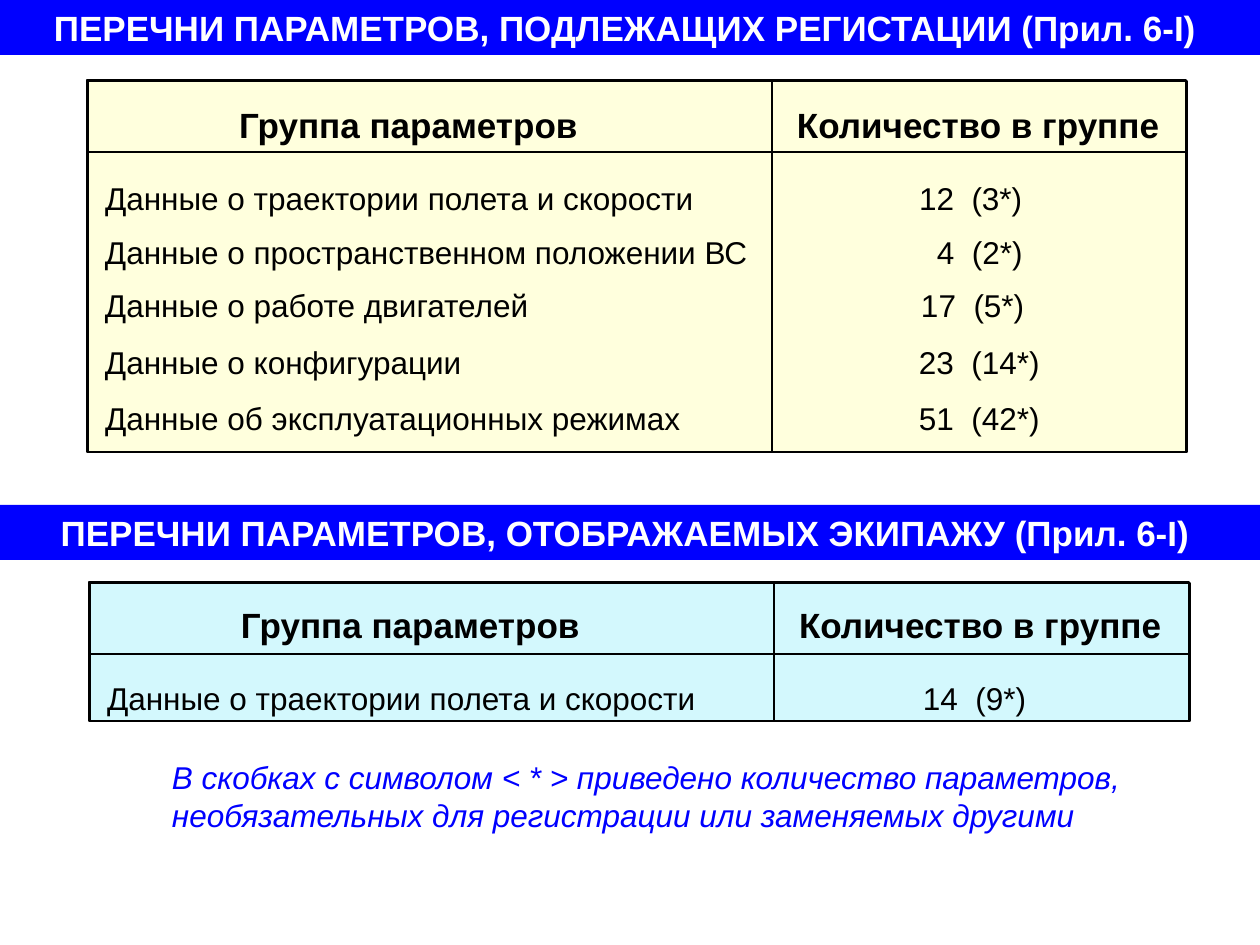
from lxml.etree import SubElement
from pptx import Presentation
from pptx.dml.color import RGBColor
from pptx.enum.shapes import MSO_CONNECTOR, MSO_SHAPE
from pptx.enum.text import MSO_ANCHOR, PP_ALIGN
from pptx.oxml.ns import qn
from pptx.util import Emu, Pt

PX = 914400 // 126
BLACK, WHITE, BLUE = "000000", "FFFFFF", "0000FF"
CREAM, CYAN = "FFFFDD", "D3F8FD"


def px(*lengths):
    return [Emu(n * PX) for n in lengths]


def color(value):
    return RGBColor.from_string(value)


def write(sp, text, size=18, fill=BLACK, bold=False, italic=False,
          align=PP_ALIGN.LEFT, anchor=MSO_ANCHOR.TOP, wrap=True):
    tf = sp.text_frame
    tf.word_wrap, tf.vertical_anchor = wrap, anchor
    for i, line in enumerate(text.split("\n")):
        p = tf.add_paragraph() if i else tf.paragraphs[0]
        p.alignment = align
        r = p.add_run()
        r.text = line
        r.font.name, r.font.size = "Arial", Pt(size)
        r.font.bold, r.font.italic = bold, italic
        r.font.color.rgb = color(fill)


def add_text(s, box, text, **style):
    sp = s.shapes.add_textbox(*px(*box))
    sp.text_frame.margin_left = sp.text_frame.margin_right = 0
    write(sp, text, wrap=False, **style)


def add_rect(s, box, fill=None, line=None, width=0.75):
    sp = s.shapes.add_shape(MSO_SHAPE.RECTANGLE, *px(*box))
    sp.shadow.inherit = False
    if fill:
        sp.fill.solid()
        sp.fill.fore_color.rgb = color(fill)
    else:
        sp.fill.background()
    if line:
        sp.line.color.rgb = color(line)
        sp.line.width = Pt(width)
    else:
        sp.line.fill.background()
    return sp


def add_line(s, ends, width=1.5):
    c = s.shapes.add_connector(MSO_CONNECTOR.STRAIGHT, *px(*ends))
    c.line.color.rgb = color(BLACK)
    c.line.width = Pt(width)
    SubElement(c._element.spPr, qn("a:effectLst"))


def add_banner(s, box, text):
    write(add_rect(s, box, BLUE), text, size=20, fill=WHITE, bold=True,
          align=PP_ALIGN.CENTER, anchor=MSO_ANCHOR.MIDDLE)


def add_group_list(s, box, fill, heading_top, rows, divider_width):
    x, y, w, h = box
    add_rect(s, (x + 1, y + 1, w, h - 1), fill, BLACK)

    # Frame and rules
    add_rect(s, box, line=BLACK, width=1.5)
    add_line(s, (x, y + 72, x + w, y + 72))
    add_line(s, (x + 685, y, x + 685, y + h), divider_width)

    # Headings
    for left, width, text in ((152, 347, "Группа параметров"),
                              (710, 372, "Количество в группе")):
        add_text(s, (x + left, y + heading_top, width, 42), text,
                 size=20, bold=True)

    # Rows: top, label, label width, count, count left, count width
    for top, label, label_w, count, count_x, count_w in rows:
        add_text(s, (x + 18, y + top, label_w, 35), label)
        add_text(s, (x + count_x, y + top, count_w, 35), count)


RECORDED = [
    (93, "Данные о траектории полета и скорости", 600, "12  (3*)", 832, 110),
    (147, "Данные о пространственном положении ВС", 655, "4  (2*)", 850, 92),
    (200, "Данные о работе двигателей", 432, "17  (5*)", 834, 110),
    (257, "Данные о конфигурации", 364, "23  (14*)", 832, 128),
    (313, "Данные об эксплуатационных режимах", 585, "51  (42*)", 832, 128),
]
DISPLAYED = [
    (91, "Данные о траектории полета и скорости", 600, "14  (9*)", 834, 110),
]


def main():
    prs = Presentation()
    prs.slide_width, prs.slide_height = px(1260, 945)
    s = prs.slides.add_slide(prs.slide_layouts[6])

    # Parameters to be recorded
    add_banner(s, (0, 0, 1260, 55),
               "ПЕРЕЧНИ ПАРАМЕТРОВ, ПОДЛЕЖАЩИХ РЕГИСТАЦИИ (Прил. 6-I) ")
    add_group_list(s, (87, 80, 1099, 372), CREAM, 17, RECORDED, 1.5)

    # Parameters shown to the crew
    add_banner(s, (0, 505, 1260, 55),
               "ПЕРЕЧНИ ПАРАМЕТРОВ, ОТОБРАЖАЕМЫХ ЭКИПАЖУ (Прил. 6-I) ")
    add_group_list(s, (89, 582, 1100, 139), CYAN, 15, DISPLAYED, 0.75)

    # Footnote
    add_text(s, (172, 752, 970, 87),
             "В скобках с символом < * > приведено количество параметров,\n"
             "необязательных для регистрации или заменяемых другими",
             fill=BLUE, italic=True)
    prs.save("out.pptx")


if __name__ == "__main__":
    main()
